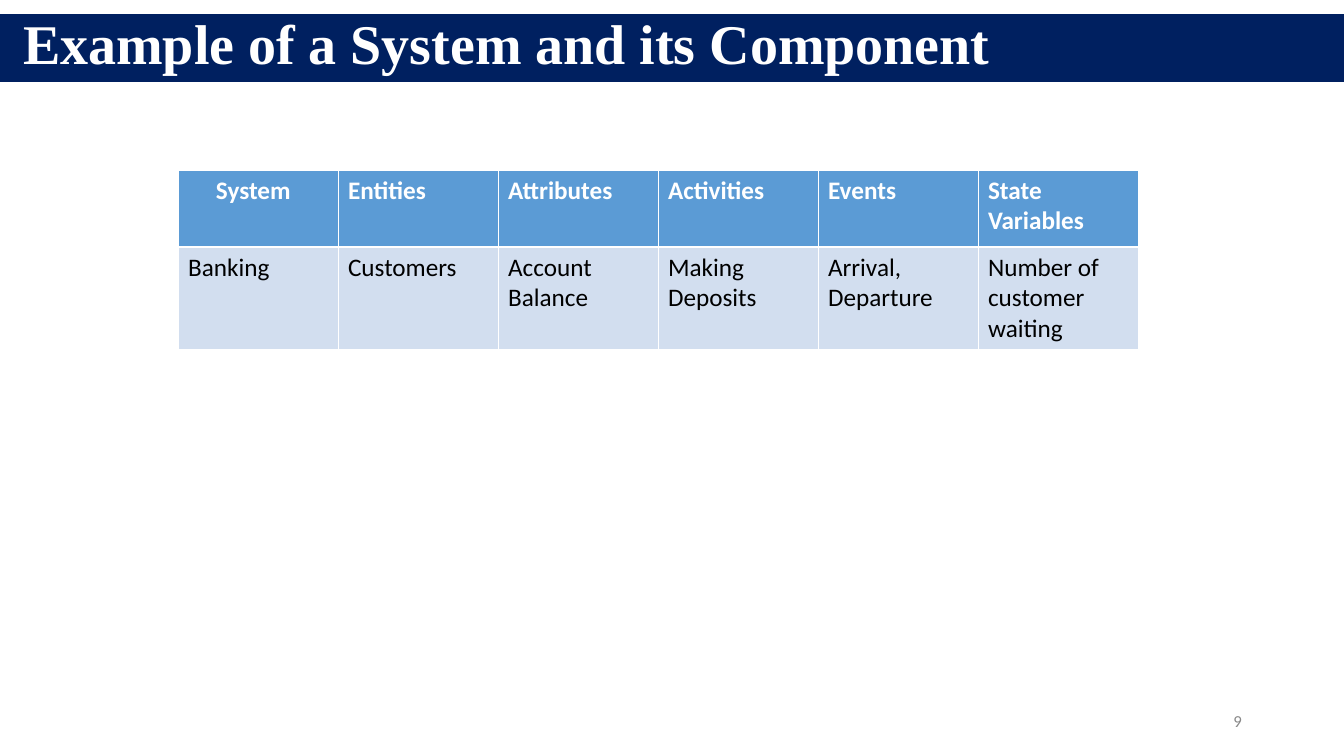
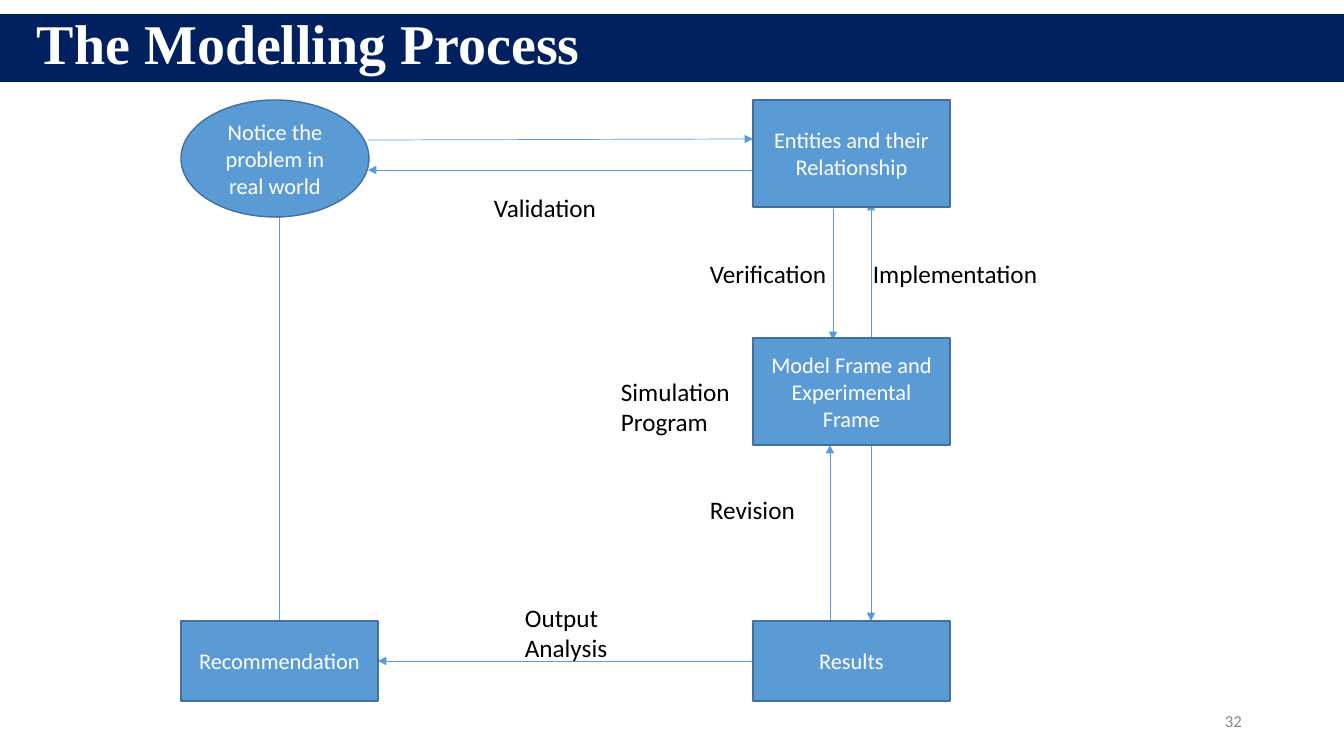
from dataclasses import dataclass
from typing import Any

from lxml.etree import SubElement
from pptx import Presentation
from pptx.dml.color import RGBColor
from pptx.enum.shapes import MSO_CONNECTOR, MSO_SHAPE
from pptx.enum.text import MSO_ANCHOR, MSO_AUTO_SIZE, PP_ALIGN
from pptx.oxml.ns import qn
from pptx.util import Pt

PX = 9072  # EMU in one px
WIDTH, HEIGHT = 1344, 756
INK = {
    "navy": "002060", "blue": "5B9BD5", "edge": "41719C", "pale": "D2DEEF",
    "white": "FFFFFF", "black": "000000", "grey": "898989",
}
FONTS = {
    "title": {"name": "Times New Roman", "size": Pt(40), "bold": True},
    "head": {"name": "Calibri", "size": Pt(18), "bold": True},
    "text": {"name": "Calibri", "size": Pt(18), "bold": False},
    "node": {"name": "Calibri", "size": Pt(16), "bold": False},
    "page": {"name": "Calibri", "size": Pt(12), "bold": False},
}
FRAME = {"word_wrap": True, "auto_size": MSO_AUTO_SIZE.NONE}


@dataclass(frozen=True)
class Box:
    left: int
    top: int
    width: int
    height: int

    def emu(self) -> tuple[int, ...]:
        return tuple(n * PX for n in (self.left, self.top, self.width, self.height))


@dataclass(frozen=True)
class Node:
    text: str
    box: Box
    kind: Any = MSO_SHAPE.RECTANGLE


@dataclass(frozen=True)
class Label:
    text: str
    box: Box


@dataclass(frozen=True)
class Arrow:
    x1: int
    y1: int
    x2: int
    y2: int


BAND = Box(0, 14, WIDTH, 68)
PAGE = Box(950, 701, 302, 40)

# Table content
GRID = Box(178, 170, 960, 178)
ROWS = (
    ("System", "Entities", "Attributes", "Activities", "Events", "State Variables"),
    ("Banking", "Customers", "Account\nBalance", "Making Deposits",
     "Arrival,\nDeparture", "Number of customer waiting"),
)
TALL = (77, 101)
LOOKS = (("head", "white", "blue"), ("text", "black", "pale"))
EDGES = (
    {"lnL": 0.45, "lnR": 0.45, "lnT": 0.45, "lnB": 1.47},
    {"lnL": 0.45, "lnR": 0.45, "lnT": 1.47, "lnB": 0.45},
)

# Flow chart content
WEST, EAST, WIDE = 181, 753, 197
NODES = (
    Node("Notice the problem in real world", Box(WEST, 100, 188, 117), MSO_SHAPE.OVAL),
    Node("Entities and their Relationship", Box(EAST, 100, WIDE, 107)),
    Node("Model Frame and\nExperimental Frame", Box(EAST, 338, WIDE, 107)),
    Node("Results", Box(EAST, 621, WIDE, 80)),
    Node("Recommendation", Box(WEST, 621, WIDE, 80)),
)
ARROWS = (
    Arrow(368, 140, EAST, 139),
    Arrow(EAST, 170, 368, 170),
    Arrow(833, 209, 833, 340),
    Arrow(871, 378, 871, 202),
    Arrow(830, 621, 830, 445),
    Arrow(871, 445, 871, 621),
    Arrow(EAST, 661, 378, 661),
    Arrow(279, 621, 279, 209),
)
LABELS = (
    Label("Validation", Box(484, 187, 131, 40)),
    Label("Verification", Box(700, 253, 148, 40)),
    Label("Implementation", Box(863, 253, 197, 40)),
    Label("Simulation Program", Box(611, 371, 131, 70)),
    Label("Revision", Box(700, 489, 130, 40)),
    Label("Output Analysis", Box(515, 597, 168, 70)),
)


def tint(name: str) -> RGBColor:
    return RGBColor.from_string(INK[name])


def apply(item: Any, looks: dict[str, Any]) -> None:
    for key, value in looks.items():
        setattr(item, key, value)


def paint(item: Any, name: str) -> None:
    item.fill.solid()
    item.fill.fore_color.rgb = tint(name)


def write(frame: Any, text: str, font: str, ink: str, align: Any = PP_ALIGN.LEFT) -> None:
    frame.text = text
    for para in frame.paragraphs:
        para.alignment = align
        apply(para.font, FONTS[font])
        para.font.color.rgb = tint(ink)


def add_label(slide: Any, label: Label, font: str = "text", ink: str = "black",
              align: Any = PP_ALIGN.LEFT, anchor: Any = MSO_ANCHOR.TOP) -> None:
    frame = slide.shapes.add_textbox(*label.box.emu()).text_frame
    apply(frame, FRAME | {"vertical_anchor": anchor})
    write(frame, label.text, font, ink, align)


def add_slide(deck: Any, title: str, inset: int, page: int) -> Any:
    """Start a slide with the title band and page number."""
    slide = deck.slides.add_slide(deck.slide_layouts[5])
    band = slide.shapes.title
    apply(band, dict(zip(("left", "top", "width", "height"), BAND.emu())))
    paint(band, "navy")
    apply(band.text_frame, FRAME | {
        "vertical_anchor": MSO_ANCHOR.MIDDLE, "margin_left": inset * PX})
    write(band.text_frame, title, "title", "white")
    band.text_frame.paragraphs[0].line_spacing = 0.8
    add_label(slide, Label(str(page), PAGE), "page", "grey",
              PP_ALIGN.RIGHT, MSO_ANCHOR.MIDDLE)
    return slide


def add_edges(cell: Any, edges: dict[str, float]) -> None:
    props = cell._tc.get_or_add_tcPr()
    for side, size in edges.items():
        line = SubElement(props, qn(f"a:{side}"), w=str(Pt(size)))
        fill = SubElement(line, qn("a:solidFill"))
        SubElement(fill, qn("a:srgbClr"), val=INK["white"])


def add_grid(slide: Any) -> None:
    count = len(ROWS[0])
    table = slide.shapes.add_table(len(ROWS), count, *GRID.emu()).table
    for col in table.columns:
        col.width = GRID.width // count * PX
    for r, (texts, tall, look, edges) in enumerate(zip(ROWS, TALL, LOOKS, EDGES)):
        table.rows[r].height = tall * PX
        font, ink, fill = look
        for c, text in enumerate(texts):
            cell = table.cell(r, c)
            add_edges(cell, edges)
            paint(cell, fill)
            write(cell.text_frame, text, font, ink)
    table.cell(0, 0).margin_left = 38 * PX


def add_arrow(slide: Any, arrow: Arrow) -> None:
    ends = (n * PX for n in (arrow.x1, arrow.y1, arrow.x2, arrow.y2))
    link = slide.shapes.add_connector(MSO_CONNECTOR.STRAIGHT, *ends)
    link.line.color.rgb = tint("blue")
    link.line.width = Pt(0.5)
    props = link._element.spPr
    SubElement(props.find(qn("a:ln")), qn("a:tailEnd"), type="triangle")
    SubElement(props, qn("a:effectLst"))


def add_node(slide: Any, node: Node) -> None:
    shape = slide.shapes.add_shape(node.kind, *node.box.emu())
    shape.shadow.inherit = False
    paint(shape, "blue")
    shape.line.color.rgb = tint("edge")
    shape.line.width = Pt(1)
    apply(shape.text_frame, FRAME | {"vertical_anchor": MSO_ANCHOR.MIDDLE})
    write(shape.text_frame, node.text, "node", "white", PP_ALIGN.CENTER)


def main() -> None:
    deck = Presentation()
    deck.slide_width, deck.slide_height = WIDTH * PX, HEIGHT * PX

    # System table
    add_grid(add_slide(deck, "Example of a System and its Component", 23, 9))

    # Modelling flow: arrows lie beneath the nodes
    flow = add_slide(deck, "The Modelling Process", 37, 32)
    for draw, parts in ((add_arrow, ARROWS), (add_node, NODES), (add_label, LABELS)):
        for part in parts:
            draw(flow, part)

    deck.save("out.pptx")


if __name__ == "__main__":
    main()
